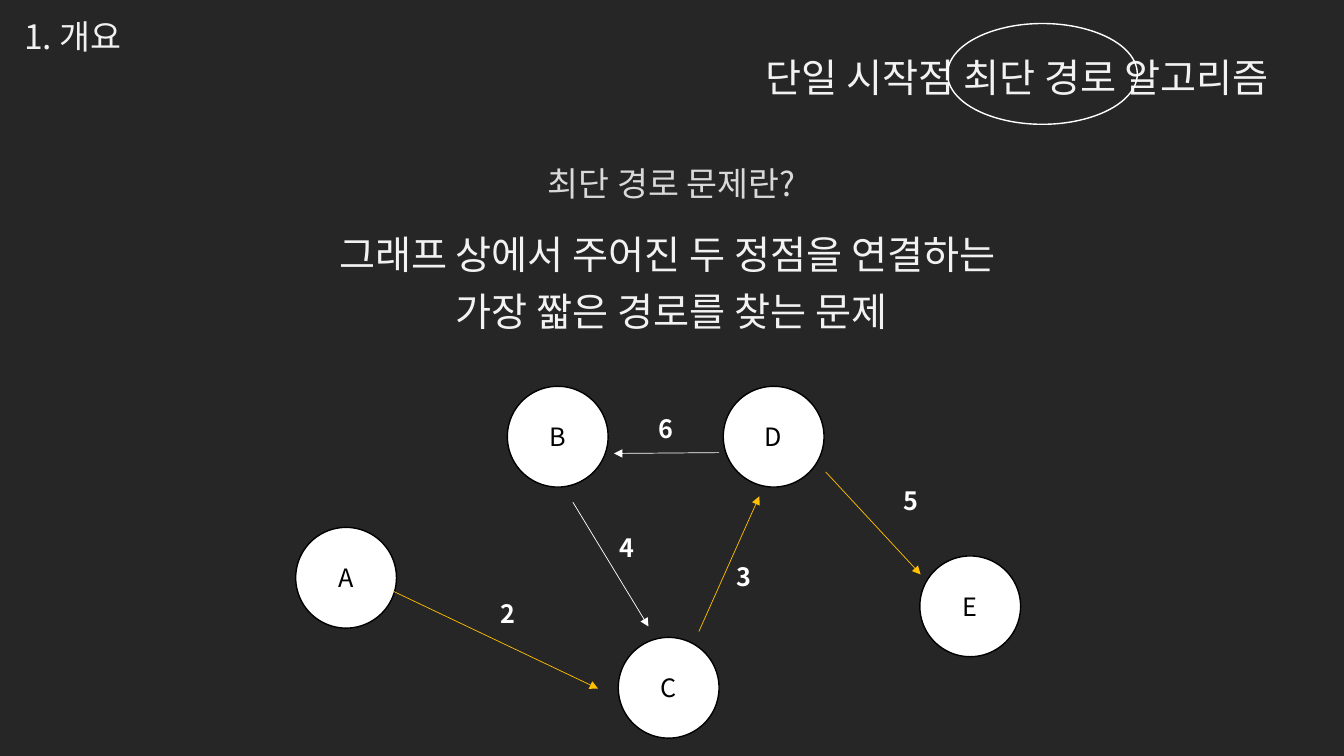
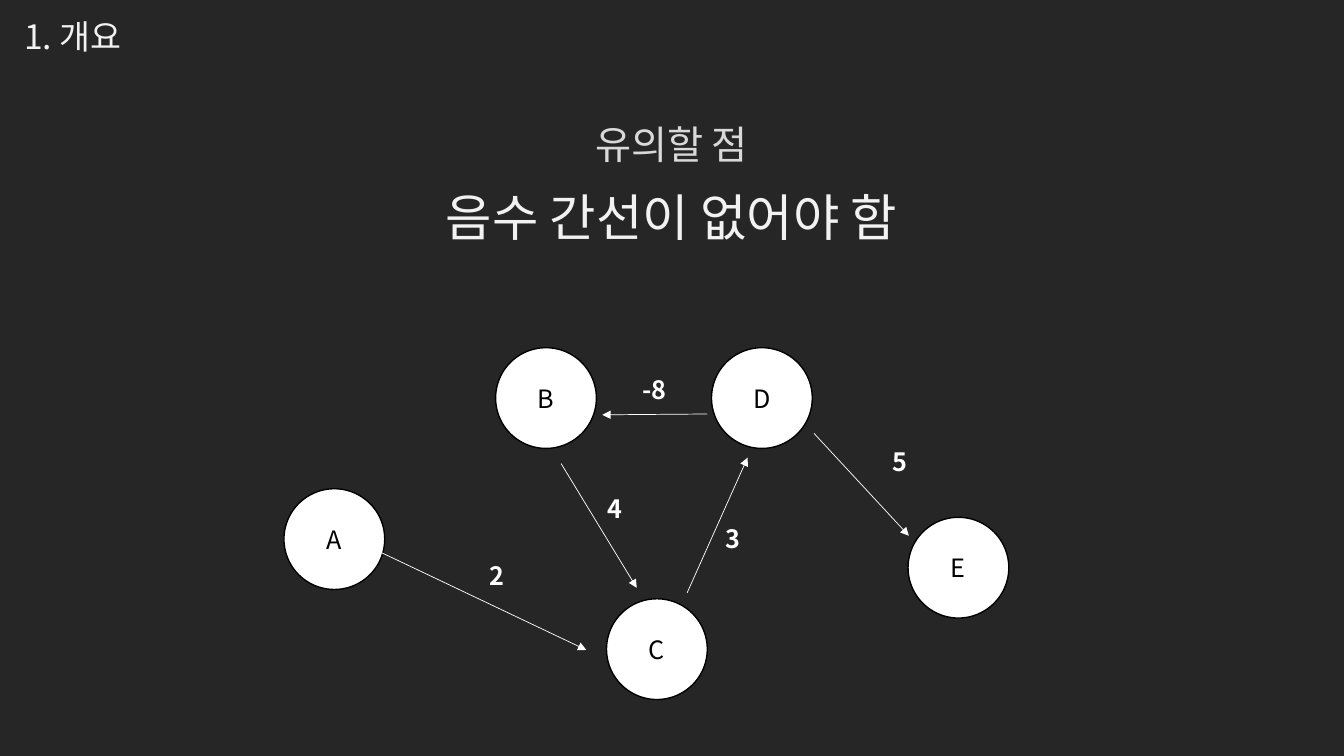
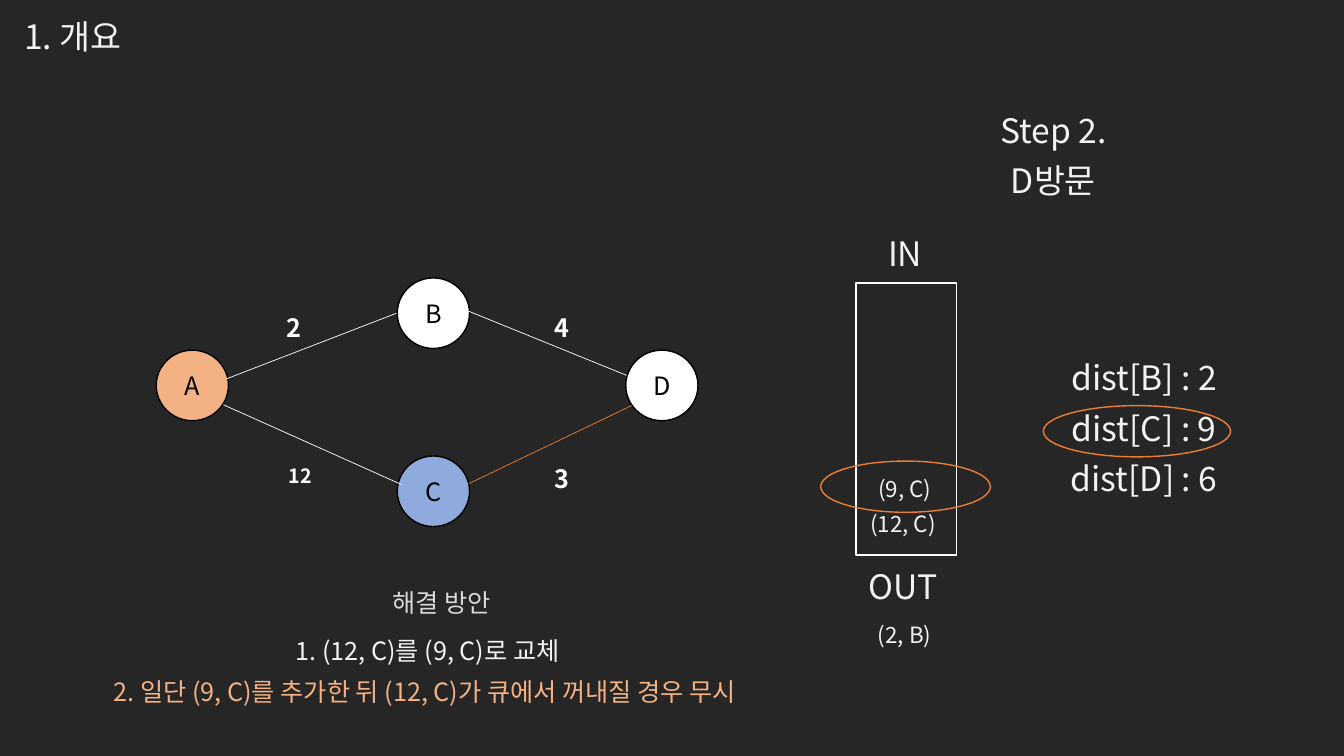
from dataclasses import dataclass

from lxml.etree import SubElement
from pptx import Presentation
from pptx.dml.color import RGBColor
from pptx.enum.shapes import MSO_CONNECTOR, MSO_SHAPE
from pptx.enum.text import MSO_ANCHOR, PP_ALIGN
from pptx.oxml.ns import qn
from pptx.util import Inches, Pt

# The slide is a grid of 160 columns by 90 rows of square cells.
COLUMNS = 160
SLIDE_WIDTH, SLIDE_HEIGHT = Inches(13.33), Inches(7.5)
CELL = SLIDE_WIDTH / COLUMNS

FONT = "Noto Sans CJK KR"
BACKGROUND, WHITE, BLACK = "262626", "FFFFFF", "000000"
BRIGHT, MUTED = "F2F2F2", "D9D9D9"
GOLD, ORANGE, PEACH, BLUE = "FFC000", "ED7D31", "F4B183", "8FAADC"


def rgb(hex_code):
    return RGBColor.from_string(hex_code)


def cells(*counts):
    return [round(count * CELL) for count in counts]


def shift(box, dx, dy, width, height):
    """Return a box placed relative to the top left corner of another."""
    return box[0] + dx, box[1] + dy, width, height


def set_format(target, values):
    for attribute, value in values.items():
        setattr(target, attribute, value)


def write(frame, lines, size, color, bold=False, **paragraph_format):
    """Fill a text frame; a line is a string or a (string, colour) pair."""
    frame.word_wrap = True
    for number, line in enumerate(lines):
        words, line_color = (line, color) if isinstance(line, str) else line
        paragraph = frame.add_paragraph() if number else frame.paragraphs[0]
        set_format(paragraph, {"alignment": PP_ALIGN.CENTER, **paragraph_format})
        run = paragraph.add_run()
        run.text = words
        set_format(run.font, {"name": FONT, "size": Pt(size), "bold": bold})
        run.font.color.rgb = rgb(line_color)
        east_asian = SubElement(run.font._element, qn("a:ea"))
        east_asian.set("typeface", FONT)


def add_text(slide, box, lines, size, color=BRIGHT, spacing=0.9, **extra):
    frame = slide.shapes.add_textbox(*cells(*box)).text_frame
    write(frame, lines, size, color, line_spacing=spacing,
          space_before=Pt(10), **extra)


def add_outline(slide, kind, box, line, fill=None):
    shape = slide.shapes.add_shape(kind, *cells(*box))
    shape.shadow.inherit = False
    if fill:
        shape.fill.solid()
        shape.fill.fore_color.rgb = rgb(fill)
    else:
        shape.fill.background()
    shape.line.color.rgb = rgb(line)
    shape.line.width = Pt(1)
    return shape


def add_edge(slide, start, end, color, arrow):
    edge = slide.shapes.add_connector(MSO_CONNECTOR.STRAIGHT,
                                      *cells(*start, *end))
    edge.line.color.rgb = rgb(color)
    edge.line.width = Pt(0.5)
    if arrow:
        SubElement(edge.line._get_or_add_ln(), qn("a:tailEnd"), type="triangle")
    SubElement(edge._element.spPr, qn("a:effectLst"))


@dataclass
class Graph:
    """Positions are in cells from the graph's top left corner.

    An edge holds its start, its end and the corner of its weight label.
    """
    node_size: tuple
    label_size: tuple
    nodes: dict
    edges: dict
    directed: bool


DIRECTED_GRAPH = Graph(
    node_size=(12, 12),
    label_size=(7, 4.8),
    nodes={"A": (0, 16.8), "B": (25.2, 0), "C": (38.4, 29.9),
           "D": (50.9, 0), "E": (74.3, 20.2)},
    edges={"AC": ((11.6, 24.4), (36, 36), (21.8, 24.7)),
           "CD": ((48, 29.2), (55.2, 13.1), (49.9, 20.3)),
           "DE": ((63.1, 10.2), (74.4, 22.4), (69.8, 11.2)),
           "DB": ((50.4, 7.9), (37.9, 8), (40.6, 2.6)),
           "BC": ((33, 13.8), (42, 28.6), (35.9, 16.8))},
    directed=True)

DIAMOND_GRAPH = Graph(
    node_size=(8.6, 8.4),
    label_size=(5, 3.4),
    nodes={"A": (0, 8.6), "B": (28.7, 0), "C": (28.7, 21.2), "D": (55.9, 8.6)},
    edges={"AC": ((8, 15.1), (29.2, 24.6), (13.9, 21.5)),
           "BD": ((36.8, 3.8), (56, 11.6), (45.8, 3.5)),
           "CD": ((37.2, 24.5), (56.6, 15.2), (45.8, 21.5)),
           "AB": ((8.4, 12), (28.6, 4.2), (13.9, 3.5))},
    directed=False)


def draw_graph(slide, corner, graph, weights, node_fills=None, edge_colors=None,
               label_styles=None):
    node_fills, edge_colors = node_fills or {}, edge_colors or {}
    label_styles = label_styles or {}
    for name, place in graph.nodes.items():
        node = add_outline(slide, MSO_SHAPE.OVAL,
                           shift(corner, *place, *graph.node_size),
                           BLACK, node_fills.get(name, WHITE))
        node.text_frame.vertical_anchor = MSO_ANCHOR.MIDDLE
        write(node.text_frame, [name], 18, BLACK)
    for pair, (start, end, label) in graph.edges.items():
        ends = [(corner[0] + x, corner[1] + y) for x, y in (start, end)]
        add_edge(slide, *ends, edge_colors.get(pair, WHITE), graph.directed)
        size, label_size = label_styles.get(pair, (18, graph.label_size))
        weight = slide.shapes.add_textbox(
            *cells(*shift(corner, *label, *label_size)))
        write(weight.text_frame, [weights[pair]], size, WHITE, bold=True)


def draw_queue(slide, box):
    add_text(slide, shift(box, 1, -5.6, 9.7, 5.4), ["IN"], 24, spacing=0.8)
    add_text(slide, shift(box, -0.4, 33.7, 12, 7.1), ["OUT"], 24)
    for entry, row in {"(9, C)": 22.6, "(2, B)": 40}.items():
        add_text(slide, shift(box, -5.2, row, 22, 4.3), [entry], 16)
    add_text(slide, shift(box, -0.5, 26.8, 12.2, 4.3), ["(12, C)"], 16)
    add_outline(slide, MSO_SHAPE.RECTANGLE, box, WHITE)
    add_outline(slide, MSO_SHAPE.OVAL, shift(box, -4.2, 21.2, 20.2, 6.1), ORANGE)


def draw_distances(slide, box):
    add_text(slide, box, ["dist[B] : 2", "dist[C] : 9", "dist[D] : 6"], 24)
    add_outline(slide, MSO_SHAPE.OVAL, shift(box, 0.6, 5.8, 22.3, 6.1), ORANGE)


def draw_solutions(slide, box):
    add_text(slide, shift(box, 1.7, -5.8, *box[2:]), ["해결 방안"], 18, MUTED)
    add_text(slide, box, [
        "1. (12, C)를 (9, C)로 교체",
        ("2. 일단 (9, C)를 추가한 뒤 (12, C)가 큐에서 꺼내질 경우 무시 ", PEACH),
    ], 18)


def draw_statement(slide, top, question, question_size, drop, answer, answer_size):
    """Centre a muted question and, `drop` rows below, its answer."""
    box = 9.2, top, 141.5, 12
    add_text(slide, box, [question], question_size, MUTED)
    add_text(slide, shift(box, 0, drop, *box[2:]), answer, answer_size)


def add_section_slide(deck):
    slide = deck.slides.add_slide(deck.slide_layouts[6])
    add_text(slide, (1.7, 2.2, 22.7, 5.2), ["1. 개요"], 24, spacing=0.8,
             alignment=PP_ALIGN.LEFT)
    return slide


def build_problem_slide(deck):
    slide = add_section_slide(deck)
    draw_statement(slide, 19.3, "최단 경로 문제란?", 24, 8.2,
                   ["그래프 상에서 주어진 두 정점을 연결하는 ",
                    "가장 짧은 경로를 찾는 문제"], 28)
    add_text(slide, (84.8, 6.4, 72.6, 7.7), ["단일 시작점 최단 경로 알고리즘"], 28)
    add_outline(slide, MSO_SHAPE.OVAL, (112.8, 2.8, 22.6, 12), WHITE)
    draw_graph(slide, (35.2, 46), DIRECTED_GRAPH,
               {"AC": "2", "CD": "3", "DE": "5", "DB": "6", "BC": "4"},
               edge_colors=dict.fromkeys(["AC", "CD", "DE"], GOLD))


def build_caution_slide(deck):
    slide = add_section_slide(deck)
    draw_statement(slide, 14.4, "유의할 점", 28, 8, ["음수 간선이 없어야 함"], 36)
    draw_graph(slide, (33.8, 41.4), DIRECTED_GRAPH,
               {"AC": "2", "CD": "3", "DE": "5", "DB": "-8", "BC": "4"})


def build_step_slide(deck):
    slide = add_section_slide(deck)
    draw_graph(slide, (18.6, 33.1), DIAMOND_GRAPH,
               {"AC": "12", "BD": "4", "CD": "3", "AB": "2"},
               node_fills={"A": PEACH, "C": BLUE},
               edge_colors={"CD": ORANGE},
               label_styles={"AC": (14, (6.5, 4.1))})
    add_text(slide, (94, 13, 62.8, 12.6), ["Step 2.", "D방문"], 24)
    draw_queue(slide, (101.9, 33.7, 12, 32.4))
    draw_distances(slide, (123.6, 42.5, 25.2, 20.2))
    draw_solutions(slide, (3, 75.5, 95.8, 13.1))


def main():
    deck = Presentation()
    set_format(deck, {"slide_width": SLIDE_WIDTH, "slide_height": SLIDE_HEIGHT})
    backdrop = deck.slide_master.background.fill
    backdrop.solid()
    backdrop.fore_color.rgb = rgb(BACKGROUND)
    for build in (build_problem_slide, build_caution_slide, build_step_slide):
        build(deck)
    deck.save("out.pptx")


if __name__ == "__main__":
    main()
